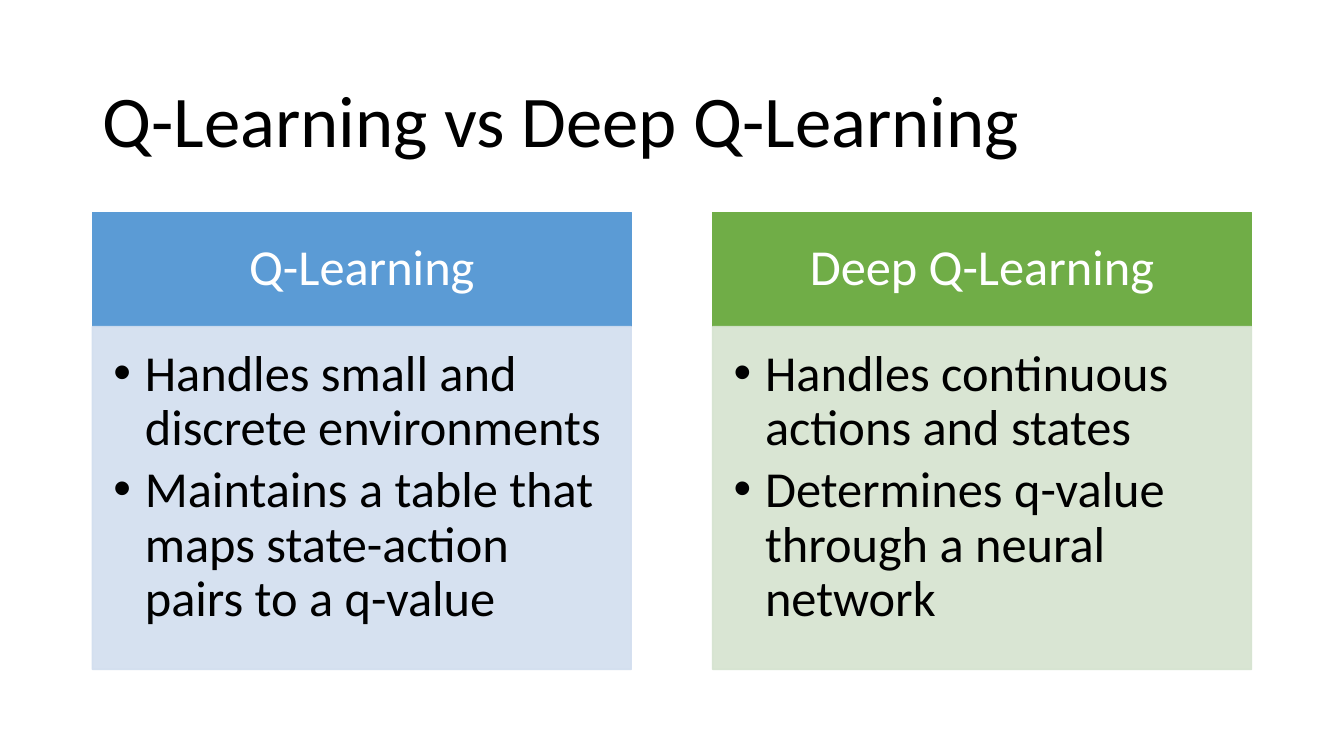
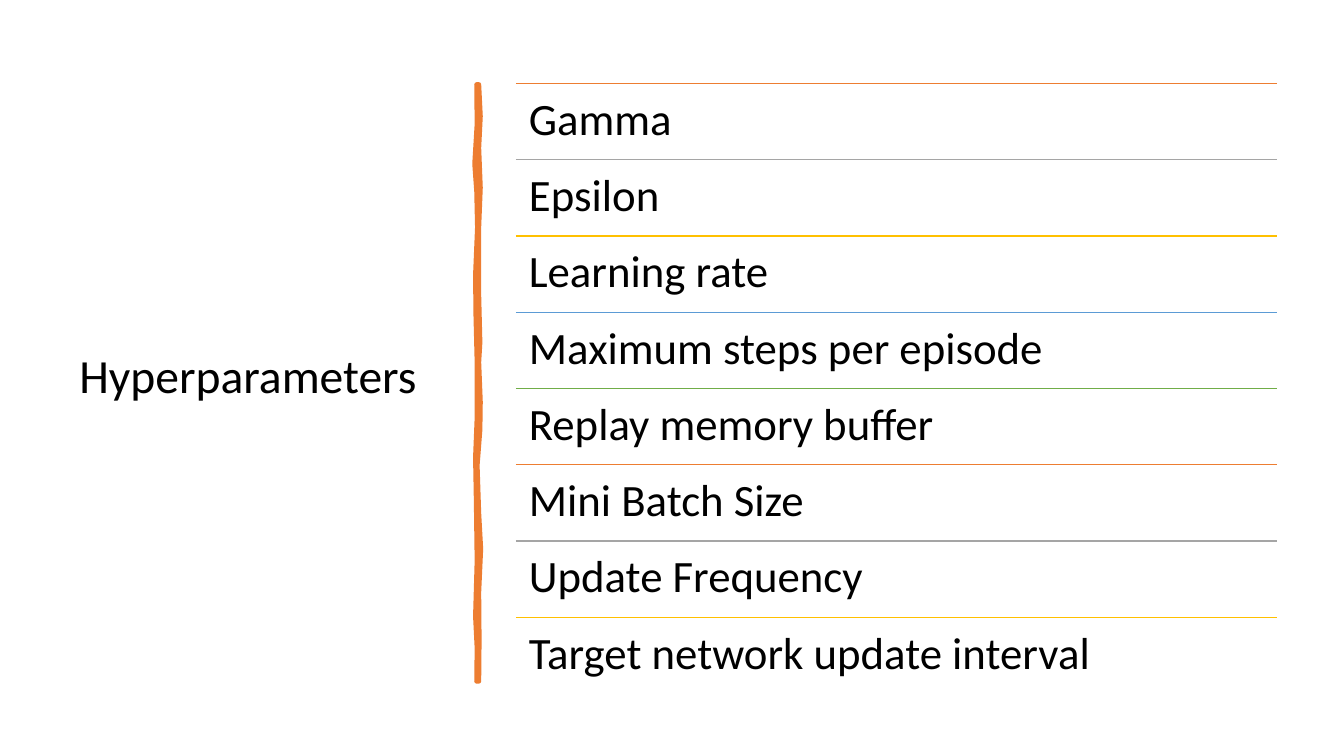
from dataclasses import dataclass
from itertools import cycle

from lxml.etree import SubElement
from pptx import Presentation
from pptx.dml.color import RGBColor
from pptx.enum.shapes import MSO_CONNECTOR, MSO_SHAPE
from pptx.enum.text import MSO_ANCHOR, PP_ALIGN
from pptx.oxml.ns import qn
from pptx.util import Cm, Pt


@dataclass(frozen=True)
class Theme:
    font: str = "Calibri"
    text: str = "000000"
    light: str = "FFFFFF"
    blue: str = "5B9BD5"
    pale_blue: str = "D2DEEF"
    green: str = "70AD47"
    pale_green: str = "D5E3CF"
    orange: str = "ED7D31"
    grey: str = "A5A5A5"
    gold: str = "FFC000"
    title: float = 52
    side_title: float = 34
    body: float = 36
    row: float = 32
    line: float = 1
    divider: float = 3.25
    panel_alpha: int = 90


THEME = Theme()
TITLE_INSETS = (0.25, 0.13, 0.25, 0.13)
HEADER_INSETS = (0.71, 0.41, 0.71, 0.41)
PANEL_INSETS = (0.53, 0.53, 0.71, 0.81)
ROW_INSETS = (0.33, 0.33, 0.33, 0.33)
BULLET_INDENT = 0.79

COLUMNS = [
    ("Q-Learning", THEME.blue, THEME.pale_blue,
     ["Handles small and discrete environments",
      "Maintains a table that maps state-action pairs to a q-value"]),
    ("Deep Q-Learning", THEME.green, THEME.pale_green,
     ["Handles continuous actions and states",
      "Determines q-value through a neural network"]),
]
HYPERPARAMETERS = [
    "Gamma", "Epsilon", "Learning rate", "Maximum steps per episode",
    "Replay memory buffer", "Mini Batch Size", "Update Frequency",
    "Target network update interval",
]
ROW_COLOURS = [THEME.orange, THEME.grey, THEME.gold, THEME.blue, THEME.green]

# Down the right edge, then up the left edge: (x, y) in cm from the top left
DIVIDER_OUTLINE = [
    (0.06, 0), (0.1, 0.8), (0.06, 1.6), (0.1, 2.6), (0.06, 3.6), (0.06, 5.3),
    (0.09, 6.5), (0.06, 7), (0.1, 8), (0.09, 8.7), (0.02, 9.6), (0.06, 10.8),
    (0.11, 11.7), (0.06, 12.8), (0.07, 14), (0.06, 15.04),
    (0, 15.04), (0.01, 14.2), (-0.03, 13.4), (0.01, 12), (-0.01, 10.5),
    (-0.03, 9.4), (0.01, 8.4), (0.01, 7), (-0.02, 5.8), (-0.03, 4.8),
    (0.02, 3.6), (0, 2.7), (-0.05, 2), (0.01, 1), (0, 0),
]


def add_bullet(p):
    pPr = p._p.get_or_add_pPr()
    pPr.set("marL", str(Cm(BULLET_INDENT)))
    pPr.set("indent", str(-Cm(BULLET_INDENT)))
    SubElement(pPr, qn("a:buFont")).set("typeface", "Arial")
    SubElement(pPr, qn("a:buChar")).set("char", "•")


def write(shape, lines, size, color=THEME.text, insets=TITLE_INSETS,
          anchor=MSO_ANCHOR.TOP, align=PP_ALIGN.LEFT, bullets=False):
    tf = shape.text_frame
    frame = {"word_wrap": True, "vertical_anchor": anchor}
    sides = ("margin_left", "margin_top", "margin_right", "margin_bottom")
    frame.update(zip(sides, map(Cm, insets)))
    for name, value in frame.items():
        setattr(tf, name, value)
    for i, line in enumerate(lines):
        p = tf.add_paragraph() if i else tf.paragraphs[0]
        if bullets:
            add_bullet(p)
            p.space_after = Pt(0.15 * size)
        p.alignment, p.line_spacing = align, 0.9
        r = p.add_run()
        r.text = line
        for name, value in {"name": THEME.font, "size": Pt(size)}.items():
            setattr(r.font, name, value)
        r.font.color.rgb = RGBColor.from_string(color)


def add_text(s, box, lines, size, **style):
    write(s.shapes.add_textbox(*map(Cm, box)), lines, size, **style)


def paint(shape, color, width=THEME.line):
    shape.shadow.inherit = False
    shape.fill.solid()
    shape.fill.fore_color.rgb = RGBColor.from_string(color)
    shape.line.color.rgb = RGBColor.from_string(color)
    shape.line.width = Pt(width)


def add_block(s, box, color, alpha=100):
    sp = s.shapes.add_shape(MSO_SHAPE.RECTANGLE, *map(Cm, box))
    paint(sp, color)
    if alpha < 100:
        for clr in sp._element.spPr.iter(qn("a:srgbClr")):
            SubElement(clr, qn("a:alpha")).set("val", str(alpha * 1000))
    return sp


def add_column(s, box, column):
    """Draw a coloured header over a pale panel of bullets."""
    heading, color, pale, points = column
    x, y, w, h = box
    header_h = h / 4
    header = add_block(s, (x, y, w, header_h), color)
    write(header, [heading], THEME.body, THEME.light, HEADER_INSETS,
          MSO_ANCHOR.MIDDLE, PP_ALIGN.CENTER)
    panel = add_block(s, (x, y + header_h, w, h - header_h), pale,
                      THEME.panel_alpha)
    write(panel, points, THEME.body, insets=PANEL_INSETS, bullets=True)


def add_divider(s, x, y):
    """Draw a vertical brush stroke."""
    (x0, y0), *rest = [(Cm(x + dx), Cm(y + dy)) for dx, dy in DIVIDER_OUTLINE]
    builder = s.shapes.build_freeform(x0, y0)
    builder.add_line_segments(rest, close=True)
    sp = builder.convert_to_shape()
    paint(sp, THEME.orange, THEME.divider)
    SubElement(sp.line._get_or_add_ln(), qn("a:round"))


def add_rows(s, box, labels):
    """Stack labels at an equal pitch, each under a coloured rule."""
    x, top, w, h = box
    pitch = h / len(labels)
    for i, (label, color) in enumerate(zip(labels, cycle(ROW_COLOURS))):
        y = top + i * pitch
        rule = s.shapes.add_connector(MSO_CONNECTOR.STRAIGHT,
                                      Cm(x), Cm(y), Cm(x + w), Cm(y))
        rule.line.color.rgb = RGBColor.from_string(color)
        rule.line.width = Pt(THEME.line)
        SubElement(rule._element.spPr, qn("a:effectLst"))
        add_text(s, (x, y, w, pitch), [label], THEME.row, insets=ROW_INSETS)


def comparison_slide(s, title, columns):
    x, w, gap = 2.33, 29.21, 2.05
    add_text(s, (x, 1.55, w, 3.15), [title], THEME.title,
             anchor=MSO_ANCHOR.MIDDLE)
    column_w = (w - gap * (len(columns) - 1)) / len(columns)
    for i, column in enumerate(columns):
        add_column(s, (x + i * (column_w + gap), 5.35, column_w, 11.52),
                   column)


def list_slide(s, title, labels):
    add_text(s, (1.75, 1.78, 9.5, 15.52), [title], THEME.side_title,
             anchor=MSO_ANCHOR.MIDDLE)
    add_divider(s, 12.01, 2.13)
    add_rows(s, (13, 2.1, 19.17, 15.38), labels)


def main():
    prs = Presentation()
    prs.slide_width, prs.slide_height = Cm(33.87), Cm(19.05)
    blank = prs.slide_layouts[6]
    comparison_slide(prs.slides.add_slide(blank),
                     "Q-Learning vs Deep Q-Learning", COLUMNS)
    list_slide(prs.slides.add_slide(blank), "Hyperparameters",
               HYPERPARAMETERS)
    prs.save("out.pptx")


if __name__ == "__main__":
    main()
